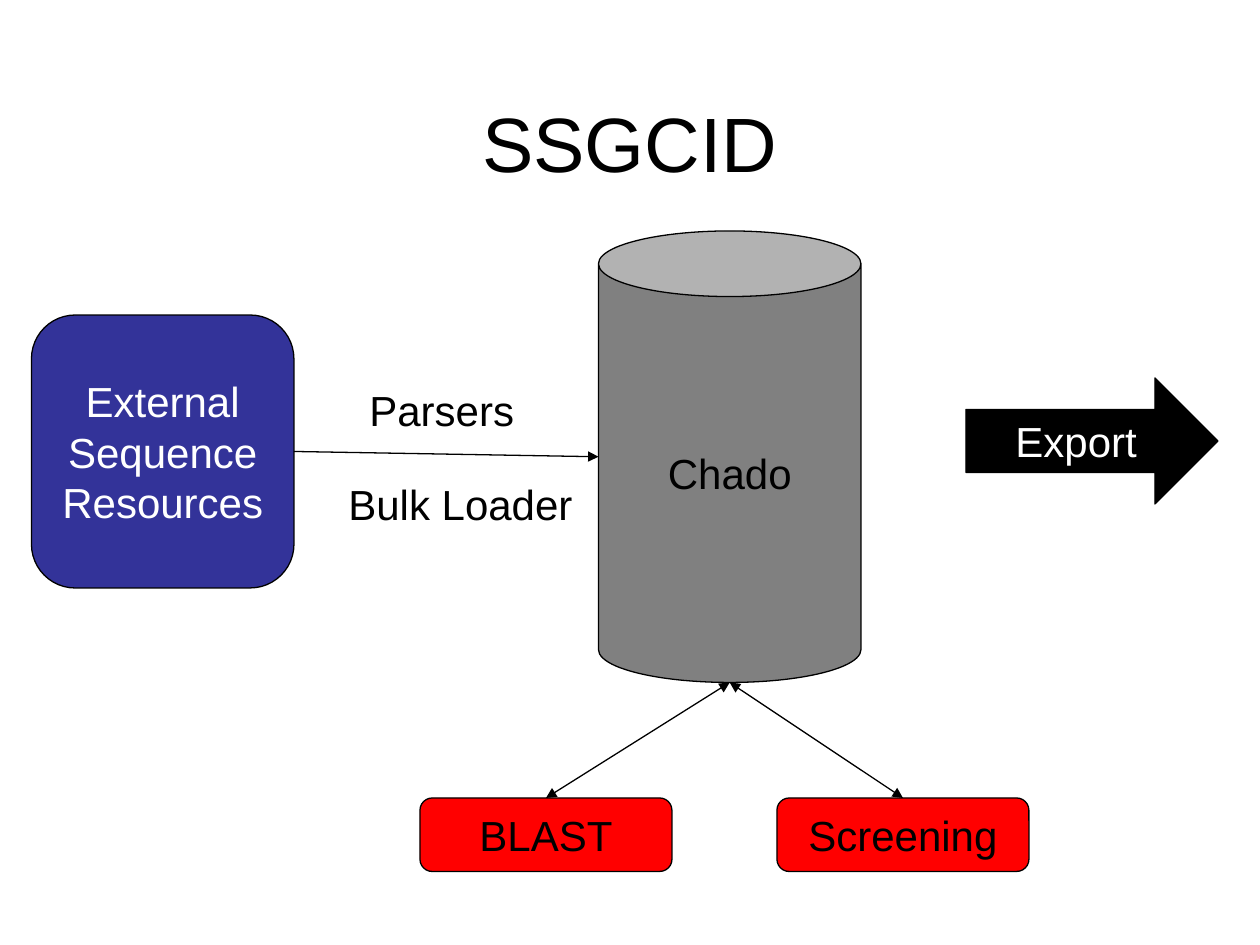
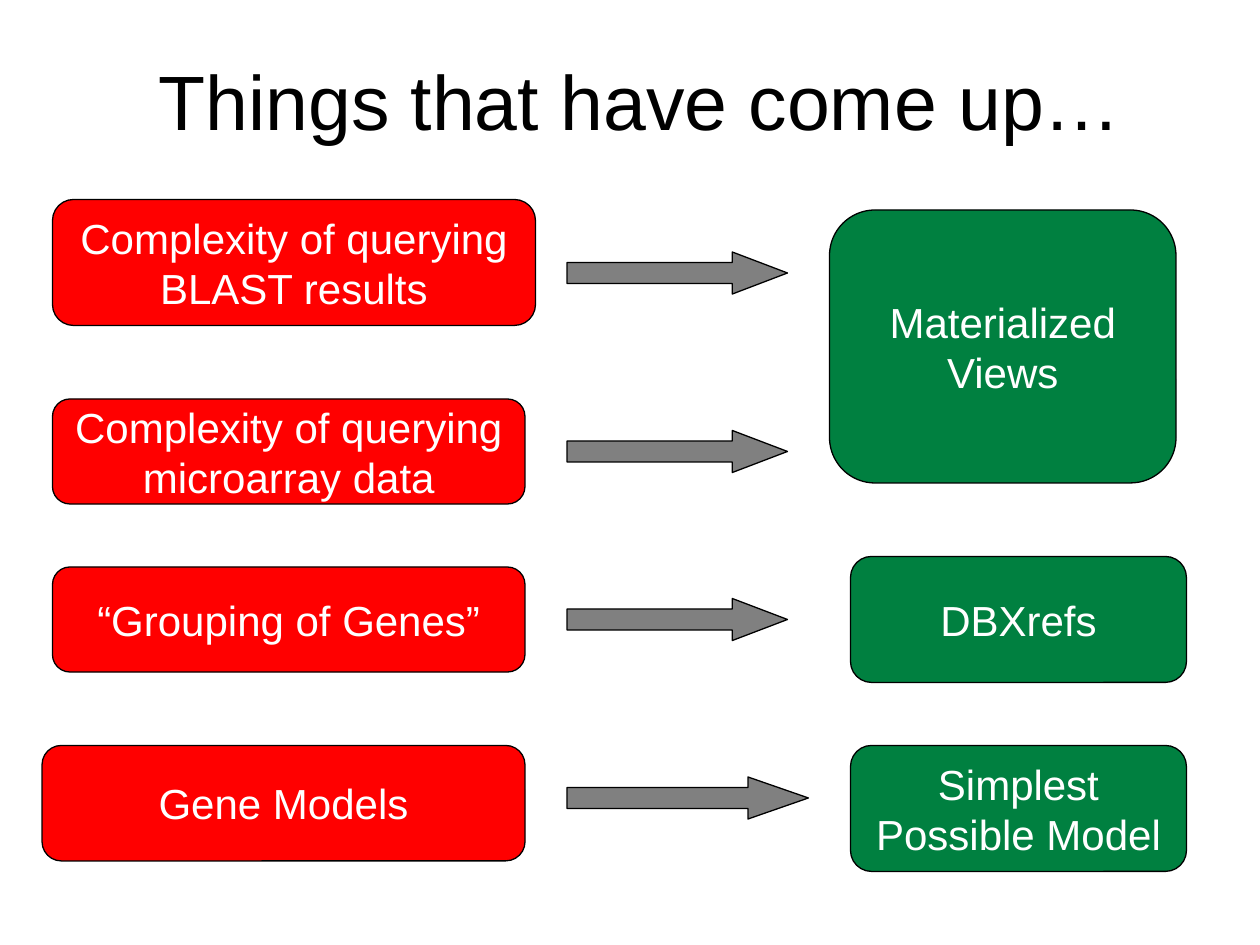
from dataclasses import dataclass

import pptx
import pptx.dml.color
import pptx.enum.shapes
import pptx.enum.text
import pptx.oxml
import pptx.oxml.ns
import pptx.util

SHAPE = pptx.enum.shapes.MSO_SHAPE
TITLE_ONLY_LAYOUT = 5


@dataclass(frozen=True)
class Theme:
    font: str = "Arial"
    title_size: int = 44
    body_size: int = 24
    line_width: float = 0.75
    black: str = "000000"
    white: str = "FFFFFF"
    gray: str = "808080"
    blue: str = "333399"
    red: str = "FF0000"
    green: str = "008040"


THEME = Theme()


def grid(cells):
    """Length of a number of grid cells, twelve to the inch."""
    return pptx.util.Inches(cells / 12)


def color(value):
    return pptx.dml.color.RGBColor.from_string(value)


def set_text(text_frame, text, size, text_color, alignment, wrap):
    text_frame.text = text
    text_frame.word_wrap = wrap
    for paragraph in text_frame.paragraphs:
        paragraph.alignment = alignment
        for run in paragraph.runs:
            run.font.name = THEME.font
            run.font.size = pptx.util.Pt(size)
            run.font.color.rgb = color(text_color)


def add_titled_slide(presentation, title, left, top):
    slide = presentation.slides.add_slide(presentation.slide_layouts[TITLE_ONLY_LAYOUT])
    shape = slide.shapes.title
    shape.left, shape.top, shape.width, shape.height = map(grid, (left, top, 102, 15))
    set_text(shape.text_frame, title, THEME.title_size, THEME.black,
             pptx.enum.text.PP_ALIGN.CENTER, True)
    shape.text_frame.vertical_anchor = pptx.enum.text.MSO_ANCHOR.MIDDLE
    return slide


def add_block(slide, kind, box, fill, text="", text_color=THEME.white, wrap=True):
    shape = slide.shapes.add_shape(kind, *map(grid, box))
    shape.shadow.inherit = False
    shape.fill.solid()
    shape.fill.fore_color.rgb = color(fill)
    shape.line.color.rgb = color(THEME.black)
    shape.line.width = pptx.util.Pt(THEME.line_width)
    if text:
        set_text(shape.text_frame, text, THEME.body_size, text_color,
                 pptx.enum.text.PP_ALIGN.CENTER, wrap)
        shape.text_frame.vertical_anchor = pptx.enum.text.MSO_ANCHOR.MIDDLE
    return shape


def add_block_arrow(slide, box, fill, text=""):
    """Right arrow whose head takes a quarter of its length."""
    arrow = add_block(slide, SHAPE.RIGHT_ARROW, box, fill, text, wrap=False)
    width, height = box[2:]
    arrow.adjustments[1] = width / height / 4


def add_label(slide, text, box):
    label = slide.shapes.add_textbox(*map(grid, box))
    set_text(label.text_frame, text, THEME.body_size, THEME.black,
             pptx.enum.text.PP_ALIGN.LEFT, False)


def add_link(slide, start, end, both_ends=False):
    connector = slide.shapes.add_connector(
        pptx.enum.shapes.MSO_CONNECTOR.STRAIGHT, *map(grid, start + end))
    connector.line.color.rgb = color(THEME.black)
    connector.line.width = pptx.util.Pt(THEME.line_width)
    line = connector.line._get_or_add_ln()
    for tag in ("a:headEnd", "a:tailEnd") if both_ends else ("a:tailEnd",):
        arrowhead = pptx.oxml.parse_xml(f'<{tag} {pptx.oxml.ns.nsdecls("a")} type="triangle"/>')
        line.append(arrowhead)
    connector._element.spPr.append(
        pptx.oxml.parse_xml(f'<a:effectLst {pptx.oxml.ns.nsdecls("a")}/>'))


def build_pipeline(presentation):
    slide = add_titled_slide(presentation, "SSGCID", 9, 6)
    add_block(slide, SHAPE.CAN, (57, 22, 25, 43), THEME.gray, "Chado", THEME.black, False)
    add_block(slide, SHAPE.ROUNDED_RECTANGLE, (3, 30, 25, 26), THEME.blue,
              "External\nSequence\nResources", wrap=False)

    database_bottom = (69.5, 65)
    tool_top, tool_width = 76, 24
    for name, left in (("BLAST", 40), ("Screening", 74)):
        add_block(slide, SHAPE.ROUNDED_RECTANGLE, (left, tool_top, tool_width, 7),
                  THEME.red, name, THEME.black, False)
        add_link(slide, database_bottom, (left + tool_width / 2, tool_top), both_ends=True)

    add_block_arrow(slide, (92, 36, 24, 12), THEME.black, "Export")
    add_link(slide, (28, 43), (57, 43.5))
    add_label(slide, "Parsers", (34, 36, 17, 6))
    add_label(slide, "Bulk Loader", (32, 45, 24, 6))


def build_issues(presentation):
    slide = add_titled_slide(presentation, "Things that have come up…", 10, 2)
    issues = (
        ("Complexity of querying BLAST results", (5, 19, 46, 12)),
        ("Complexity of querying microarray data", (5, 38, 45, 10)),
        ("“Grouping of Genes”", (5, 54, 45, 10)),
        ("Gene Models", (4, 71, 46, 11)),
    )
    solutions = (
        ("Materialized Views", (79, 20, 33, 26)),
        ("DBXrefs", (81, 53, 32, 12)),
        ("Simplest\nPossible Model", (81, 71, 32, 12)),
    )
    for blocks, fill in ((issues, THEME.red), (solutions, THEME.green)):
        for text, box in blocks:
            add_block(slide, SHAPE.ROUNDED_RECTANGLE, box, fill, text)
    for top, length in ((24, 21), (41, 21), (57, 21), (74, 23)):
        add_block_arrow(slide, (54, top, length, 4), THEME.gray)


def main():
    presentation = pptx.Presentation()
    presentation.slide_width = grid(120)
    presentation.slide_height = grid(90)
    build_pipeline(presentation)
    build_issues(presentation)
    presentation.save("out.pptx")


if __name__ == "__main__":
    main()
